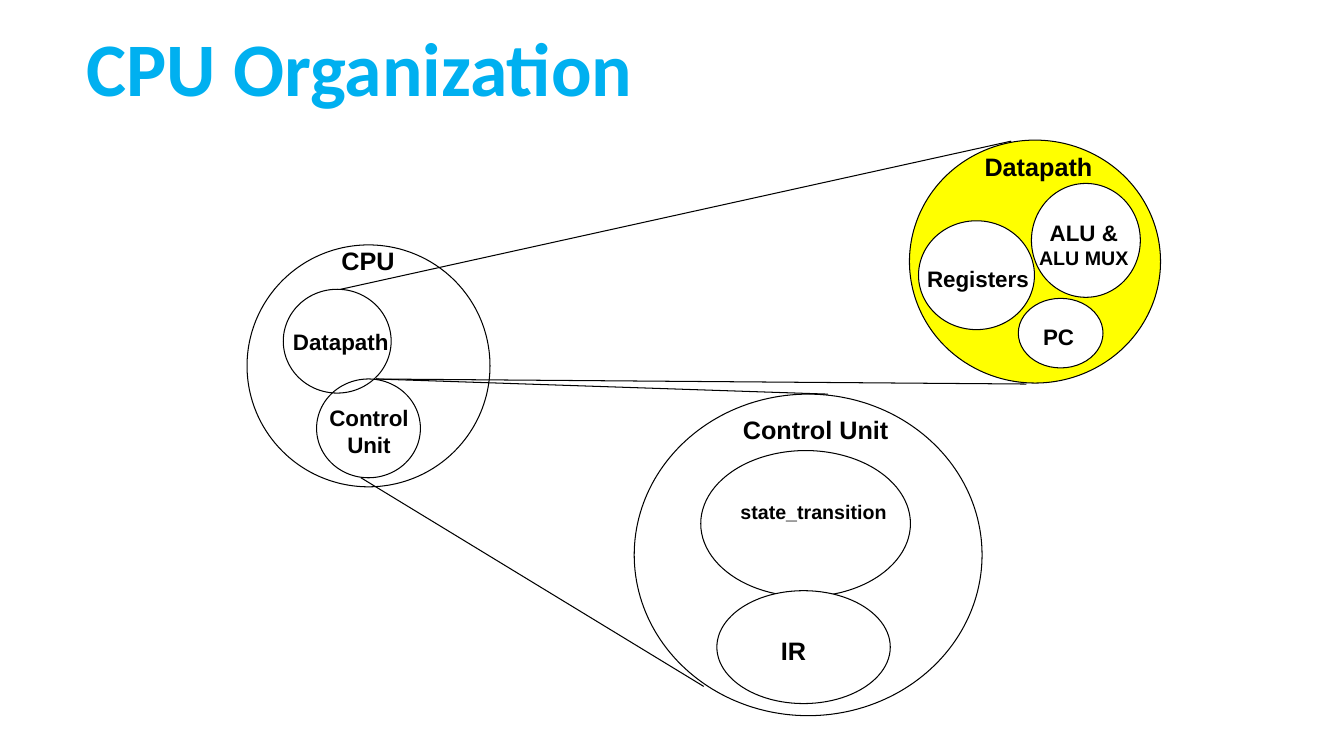
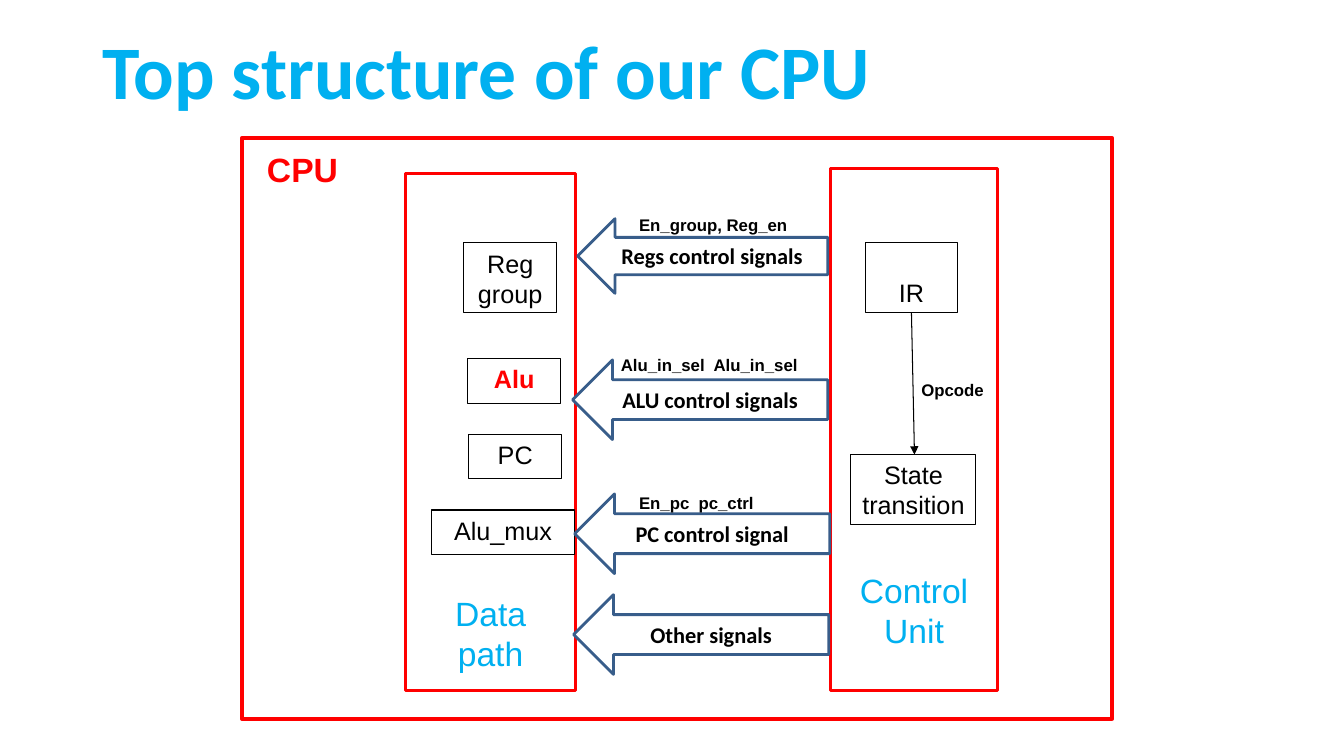
from dataclasses import dataclass

from lxml.etree import SubElement as Sub
from pptx import Presentation as Deck
from pptx.dml.color import RGBColor as Color
from pptx.enum.shapes import MSO_CONNECTOR as Link, MSO_SHAPE as Kind
from pptx.enum.text import MSO_ANCHOR as Anchor, PP_ALIGN as Align
from pptx.oxml.ns import qn
from pptx.util import Inches, Pt


@dataclass(frozen=True)
class Theme:
    black: str = "000000"
    white: str = "FFFFFF"
    blue: str = "00B0F0"
    red: str = "FF0000"
    gold: str = "FFFF00"
    steel: str = "385D8A"
    body: str = "Arial"
    head: str = "Calibri"
    title: int = 54
    large: int = 24
    mid: int = 18
    base: int = 16
    small: int = 14
    note: int = 12
    thin: float = 0.75
    bold: float = 2
    frame: float = 3


T = Theme()


def color(code):
    return Color.from_string(code)


def write(shape, text, size, tone=T.black, bold=False, font=T.body,
          align=Align.CENTER, anchor=Anchor.MIDDLE, wrap=True):
    frame = shape.text_frame
    frame.text = text
    frame.word_wrap = wrap
    frame.vertical_anchor = anchor
    for para in frame.paragraphs:
        para.alignment = align
        for run in para.runs:
            run.font.name = font
            run.font.size = Pt(size)
            run.font.bold = bold
            run.font.color.rgb = color(tone)
    return frame


def draw(slide, kind, box, fill=None, edge=T.black, width=T.thin):
    shape = slide.shapes.add_shape(kind, *map(Inches, box))
    shape.shadow.inherit = False
    if fill:
        shape.fill.solid()
        shape.fill.fore_color.rgb = color(fill)
    else:
        shape.fill.background()
    shape.line.color.rgb = color(edge)
    shape.line.width = Pt(width)
    return shape


def join(slide, start, end, arrow=False):
    points = map(Inches, (*start, *end))
    line = slide.shapes.add_connector(Link.STRAIGHT, *points)
    line.line.color.rgb = color(T.black)
    line.line.width = Pt(T.thin)
    props = line._element.spPr
    if arrow:
        Sub(props.find(qn("a:ln")), qn("a:tailEnd"), type="triangle")
    Sub(props, qn("a:effectLst"))


def label(slide, x, y, text, size):
    """Bold text centred on the point x, y."""
    wide, high = 2, 0.6
    box = (x - wide / 2, y - high / 2, wide, high)
    shape = slide.shapes.add_textbox(*map(Inches, box))
    return write(shape, text, size, bold=True, wrap=False)


def note(slide, x, y, text, size=T.note, tone=T.black, stop=None):
    """Bold text set from the left; stop is where a tab in it ends."""
    shape = slide.shapes.add_textbox(*map(Inches, (x, y, 2, 0.3)))
    frame = write(shape, text, size, tone, True,
                  align=Align.LEFT, anchor=Anchor.TOP)
    if stop:
        props = frame.paragraphs[0]._p.get_or_add_pPr()
        tabs = Sub(props, qn("a:tabLst"))
        Sub(tabs, qn("a:tab"), pos=str(Inches(stop)), algn="l")


def block(slide, box, text, tone=T.black, bold=False, anchor=Anchor.TOP):
    shape = draw(slide, Kind.RECTANGLE, box, T.white)
    write(shape, text, T.mid, tone, bold, anchor=anchor)


def panel(slide, box, text, gap):
    """Red outline with its name set gap above the lower edge."""
    shape = draw(slide, Kind.RECTANGLE, box, edge=T.red, width=T.bold)
    frame = write(shape, text, T.large, T.blue,
                  anchor=Anchor.BOTTOM, wrap=False)
    frame.margin_bottom = Inches(gap)


def signal(slide, box, text):
    shape = draw(slide, Kind.LEFT_ARROW, box, T.white, T.steel, T.bold)
    write(shape, text, T.base, bold=True, font=T.head)


def start(deck, x, y, text):
    """New blank slide with its title."""
    slide = deck.slides.add_slide(deck.slide_layouts[6])
    shape = slide.shapes.add_textbox(*map(Inches, (x, y, 11.5, 1.45)))
    frame = write(shape, text, T.title, T.blue, True, T.head, Align.LEFT)
    frame.paragraphs[0].line_spacing = 0.9
    return slide


def circles(deck):
    slide = start(deck, 0.76, -0.01, "CPU Organization")
    for box, fill in (
        ((2.45, 2.43, 2.41, 2.4), None),
        ((3.14, 3.76, 1.03, 0.98), None),
        ((2.81, 2.87, 1.07, 1.03), None),
        ((6.29, 3.91, 3.45, 3.19), T.white),
        ((6.95, 4.47, 2.08, 1.45), T.white),
        ((7.11, 5.86, 1.72, 1.12), T.white),
        ((9.02, 1.39, 2.49, 2.41), T.gold),
        ((9.11, 2.19, 1.15, 1.08), T.white),
        ((10.23, 1.82, 1.08, 1.13), T.white),
        ((10.1, 2.96, 0.84, 0.69), T.white),
    ):
        draw(slide, Kind.OVAL, box, fill)

    for ends in (
        ((3.38, 2.87), (10.03, 1.4)),
        ((3.73, 3.76), (10.18, 3.81)),
        ((3.73, 3.76), (8.21, 3.91)),
        ((3.58, 4.74), (6.98, 6.81)),
    ):
        join(slide, *ends)

    for item in (
        (3.65, 2.58, "CPU", T.mid),
        (3.38, 3.39, "Datapath", T.base),
        (3.66, 4.28, "Control\nUnit", T.base),
        (8.09, 4.26, "Control Unit", T.mid),
        (8.07, 5.08, "state_transition", T.small),
        (7.87, 6.45, "IR", T.mid),
        (10.3, 1.65, "Datapath", T.mid),
        (9.7, 2.76, "Registers", T.base),
        (10.5, 3.34, "PC", T.base),
    ):
        label(slide, *item)
    unit = label(slide, 10.75, 2.42, "ALU &\nALU MUX", T.base)
    unit.paragraphs[1].runs[0].font.size = Pt(T.small)


def blocks(deck):
    slide = start(deck, 0.92, 0.02, "Top structure of our CPU")
    panel(slide, (4.02, 1.72, 1.69, 5.13), "Data\npath", 0.17)
    panel(slide, (8.24, 1.67, 1.65, 5.18), "Control\nUnit", 0.4)
    draw(slide, Kind.RECTANGLE, (2.4, 1.37, 8.63, 5.76),
         edge=T.red, width=T.frame)
    note(slide, 2.55, 1.43, "CPU", T.large, T.red)

    block(slide, (4.6, 2.41, 0.92, 0.69), "Reg group")
    block(slide, (4.64, 3.56, 0.92, 0.44), "Alu", T.red, True)
    block(slide, (4.65, 4.31, 0.92, 0.44), "PC")
    block(slide, (4.28, 5.06, 1.42, 0.44), "Alu_mux")
    block(slide, (8.58, 2.41, 0.92, 0.69), "IR", anchor=Anchor.BOTTOM)
    block(slide, (8.44, 4.51, 1.24, 0.69), "State\ntransition")
    join(slide, (9.04, 3.1), (9.07, 4.51), arrow=True)

    signal(slide, (5.73, 2.17, 2.48, 0.74), "Regs control signals")
    signal(slide, (5.68, 3.57, 2.53, 0.79), "ALU control signals")
    signal(slide, (5.7, 4.9, 2.53, 0.79), "PC control signal")
    signal(slide, (5.69, 5.9, 2.53, 0.79), "Other signals")

    note(slide, 6.24, 2.08, "En_group, Reg_en")
    note(slide, 6.06, 3.47, "Alu_in_sel\tAlu_in_sel", stop=0.92)
    note(slide, 6.24, 4.84, "En_pc\tpc_ctrl", stop=0.59)
    note(slide, 9.04, 3.72, "Opcode")


def main():
    deck = Deck()
    deck.slide_width = Inches(13.33)
    deck.slide_height = Inches(7.5)
    circles(deck)
    blocks(deck)
    deck.save("out.pptx")


if __name__ == "__main__":
    main()
